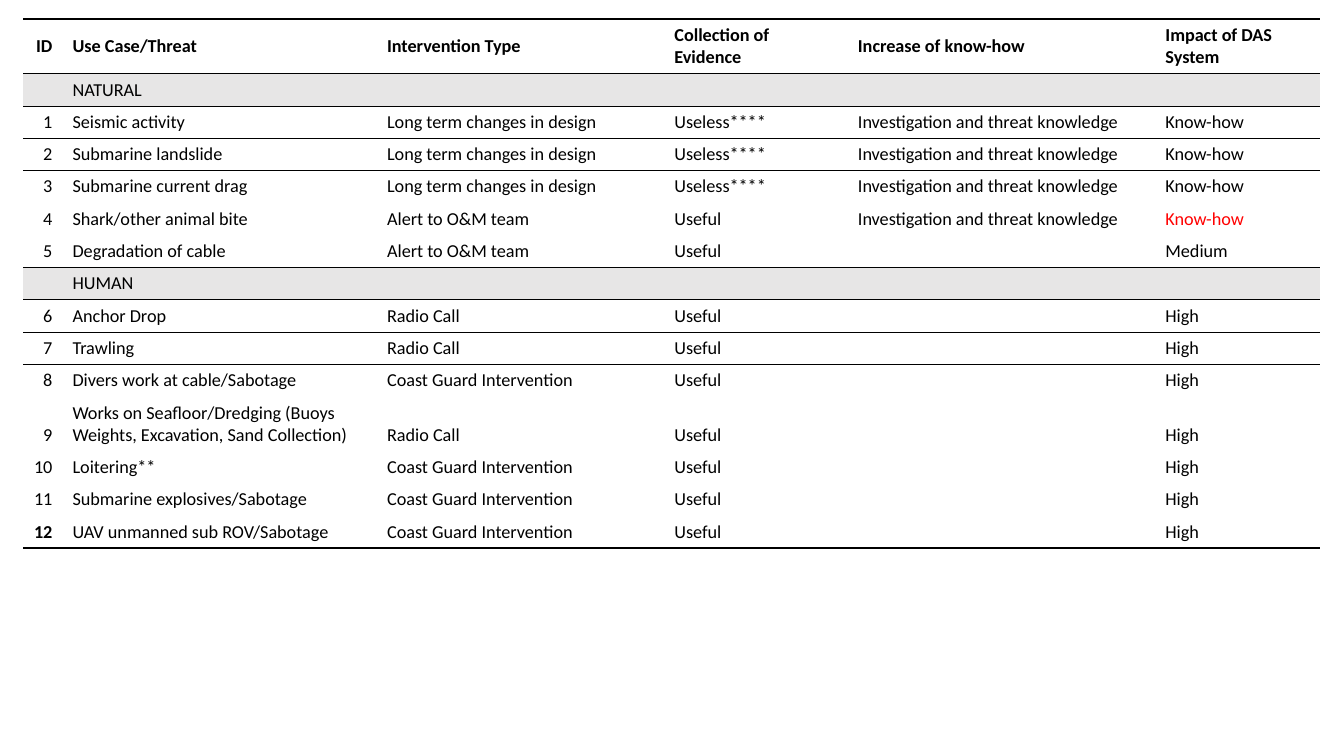
"""Build a slide with a table of subsea cable threats and interventions."""
import pptx
import pptx.dml.color
import pptx.enum.text
import pptx.oxml.ns
import pptx.util
from lxml import etree

DESIGN = "Long term changes in design"
ALERT = "Alert to O&M team"
RADIO = "Radio Call"
COAST_GUARD = "Coast Guard Intervention"
KNOWLEDGE = "Investigation and threat knowledge"

ROWS = [
    ("ID", "Use Case/Threat", "Intervention Type", "Collection of Evidence",
     "Increase of know-how", "Impact of DAS System"),
    ("", "NATURAL", "", "", "", ""),
    ("1", "Seismic activity", DESIGN, "Useless****", KNOWLEDGE, "Know-how"),
    ("2", "Submarine landslide", DESIGN, "Useless****", KNOWLEDGE, "Know-how"),
    ("3", "Submarine current drag", DESIGN, "Useless****", KNOWLEDGE, "Know-how"),
    ("4", "Shark/other animal bite", ALERT, "Useful", KNOWLEDGE, "Know-how"),
    ("5", "Degradation of cable", ALERT, "Useful", "", "Medium"),
    ("", "HUMAN", "", "", "", ""),
    ("6", "Anchor Drop", RADIO, "Useful", "", "High"),
    ("7", "Trawling", RADIO, "Useful", "", "High"),
    ("8", "Divers work at cable/Sabotage", COAST_GUARD, "Useful", "", "High"),
    ("9", "Works on Seafloor/Dredging (Buoys Weights, Excavation, Sand Collection)",
     RADIO, "Useful", "", "High"),
    ("10", "Loitering**", COAST_GUARD, "Useful", "", "High"),
    ("11", "Submarine explosives/Sabotage", COAST_GUARD, "Useful", "", "High"),
    ("12", "UAV unmanned sub ROV/Sabotage", COAST_GUARD, "Useful", "", "High"),
]
COLUMN_WIDTHS = [0.39, 3.12, 2.85, 1.82, 3.05, 1.63]
LEFT, TOP = 0.23, 0.19
ROW_HEIGHT, TALL_ROW_HEIGHT = 0.32, 0.54
TALL_ROWS = {0, 11}
SECTION_ROWS = {1, 7}
FIRST_BOTTOM_ROW = 7
RULES = {0: 2, 1: 1, 2: 0.75, 3: 0.75, 7: 0.75, 8: 0.75, 9: 0.75, 15: 2}
BOLD_CELLS = {(0, column) for column in range(6)} | {(14, 0)}
RED_CELL = (5, 5)
FONT, FONT_SIZE = "Calibri", 13
BLACK, WHITE, GREY, RED = "000000", "FFFFFF", "E7E6E6", "FF0000"
NO_STYLE = "{2D5ABB26-0587-4C30-8999-92F81FD0307C}"

qn = pptx.oxml.ns.qn


def set_color(color_format, value):
    color_format.rgb = pptx.dml.color.RGBColor.from_string(value)


def add_border(cell, tag, width):
    properties = cell._tc.get_or_add_tcPr()
    line = etree.SubElement(properties, qn(tag), w=str(pptx.util.Pt(width)))
    fill = etree.SubElement(line, qn("a:solidFill"))
    etree.SubElement(fill, qn("a:srgbClr"), val=BLACK)


def fill_cell(cell, row, column, text):
    for tag, rule in (("a:lnT", row), ("a:lnB", row + 1)):
        if rule in RULES:
            add_border(cell, tag, RULES[rule])
    cell.fill.solid()
    set_color(cell.fill.fore_color, GREY if row in SECTION_ROWS else WHITE)
    anchors = pptx.enum.text.MSO_ANCHOR
    cell.vertical_anchor = anchors.BOTTOM if row >= FIRST_BOTTOM_ROW else anchors.MIDDLE
    paragraph = cell.text_frame.paragraphs[0]
    if column == 0:
        paragraph.alignment = pptx.enum.text.PP_ALIGN.RIGHT
    if text:
        run = paragraph.add_run()
        run.text = text
        run.font.name = FONT
        run.font.size = pptx.util.Pt(FONT_SIZE)
        run.font.bold = (row, column) in BOLD_CELLS
        set_color(run.font.color, RED if (row, column) == RED_CELL else BLACK)
    else:
        etree.SubElement(paragraph._p, qn("a:endParaRPr"), sz=str(FONT_SIZE * 100))


def add_threat_table(slide):
    heights = [TALL_ROW_HEIGHT if row in TALL_ROWS else ROW_HEIGHT
               for row in range(len(ROWS))]
    inches = pptx.util.Inches
    table = slide.shapes.add_table(
        len(ROWS), len(COLUMN_WIDTHS), inches(LEFT), inches(TOP),
        inches(sum(COLUMN_WIDTHS)), inches(sum(heights))).table
    table.first_row = table.horz_banding = False
    table._tbl.tblPr.find(qn("a:tableStyleId")).text = NO_STYLE
    for column, width in zip(table.columns, COLUMN_WIDTHS):
        column.width = inches(width)
    for row, height in zip(table.rows, heights):
        row.height = inches(height)
    for row, texts in enumerate(ROWS):
        for column, text in enumerate(texts):
            fill_cell(table.cell(row, column), row, column, text)


def main():
    presentation = pptx.Presentation()
    presentation.slide_width = pptx.util.Inches(13.33)
    presentation.slide_height = pptx.util.Inches(7.5)
    slide = presentation.slides.add_slide(presentation.slide_layouts[6])
    add_threat_table(slide)
    presentation.save("out.pptx")


if __name__ == "__main__":
    main()
